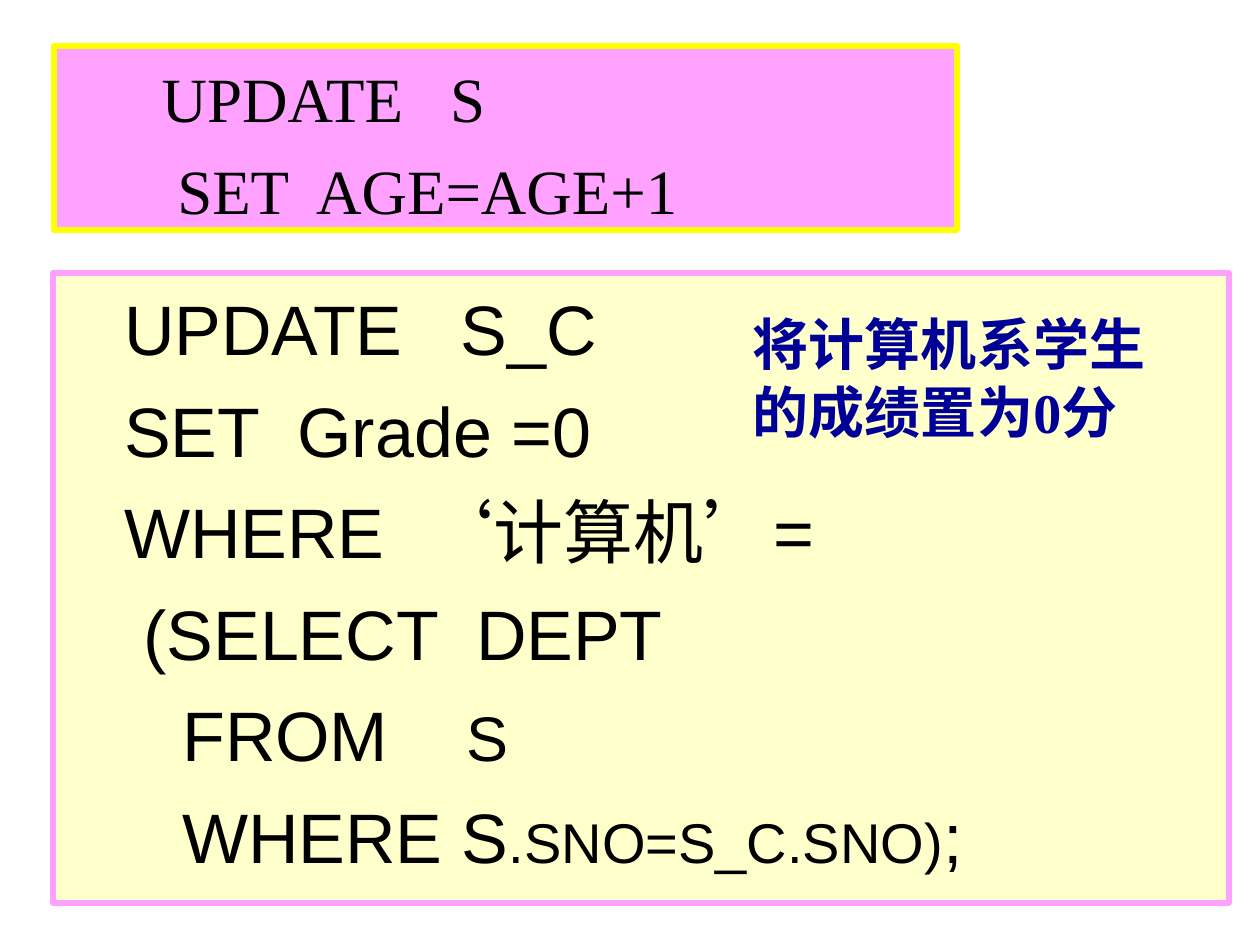
"""Builds a slide with two SQL UPDATE examples and a short caption."""
import pptx
import pptx.dml.color
import pptx.enum.shapes
import pptx.enum.text
import pptx.util

COLORS = {
    "ink": "000000",
    "navy": "000099",
    "pink": "FFA1FF",
    "yellow": "FFFF00",
    "cream": "FFFFCC",
}


class Slide:
    SCALE = 914400 / 126
    INSET = 13

    def __init__(self, deck):
        self.page = deck.slides.add_slide(deck.slide_layouts[6])

    @classmethod
    def px(cls, length):
        return pptx.util.Emu(round(length * cls.SCALE))

    @staticmethod
    def color(name):
        return pptx.dml.color.RGBColor.from_string(COLORS[name])

    def panel(self, place, fill, line):
        box = self.page.shapes.add_shape(
            pptx.enum.shapes.MSO_SHAPE.RECTANGLE, *map(self.px, place))
        box.shadow.inherit = False
        box.fill.solid()
        box.fill.fore_color.rgb = self.color(fill)
        box.line.color.rgb = self.color(line)
        box.line.width = pptx.util.Pt(3)
        return box

    def caption(self, place):
        return self.page.shapes.add_textbox(*map(self.px, place))

    def add_lines(self, box, lines, font, size, color="ink", bold=False, gap=0, top=INSET):
        frame = box.text_frame
        layout = {
            "word_wrap": True,
            "vertical_anchor": pptx.enum.text.MSO_ANCHOR.TOP,
            "margin_left": self.px(self.INSET),
            "margin_right": self.px(self.INSET),
            "margin_top": self.px(top),
            "margin_bottom": self.px(6),
        }
        for name, value in layout.items():
            setattr(frame, name, value)
        for index, line in enumerate(lines):
            para = frame.add_paragraph() if index else frame.paragraphs[0]
            para.alignment = pptx.enum.text.PP_ALIGN.LEFT
            if index:
                para.space_before = pptx.util.Pt(gap)
            for text, points in line:
                span = para.add_run()
                span.text = text
                style = {"name": font, "size": pptx.util.Pt(points or size), "bold": bold}
                for name, value in style.items():
                    setattr(span.font, name, value)
                span.font.color.rgb = self.color(color)


def main():
    deck = pptx.Presentation()
    deck.slide_width = pptx.util.Inches(10)
    deck.slide_height = pptx.util.Inches(7.5)
    slide = Slide(deck)

    grade_query = [
        [("   UPDATE   S_C", None)],
        [("   SET  Grade =0", None)],
        [("   WHERE  ‘计算机’=", None)],
        [("    (SELECT  DEPT", None)],
        [("      FROM    ", None), ("S", 36)],
        [("      WHERE S", None), (".SNO=S_C.SNO)", 32), (";", None)],
    ]
    age_query = [
        [("      UPDATE   S", None)],
        [("       SET  AGE=AGE+1", None)],
    ]
    caption = [[("将计算机系学生的成绩置为0分", None)]]

    slide.add_lines(slide.panel((53, 273, 1176, 630), "cream", "pink"),
                    grade_query, "Arial", 40, gap=10)
    slide.add_lines(slide.panel((54, 46, 903, 184), "pink", "yellow"),
                    age_query, "Times New Roman", 36, gap=9, top=14)
    slide.add_lines(slide.caption((740, 304, 456, 147)),
                    caption, "Times New Roman", 32, color="navy", bold=True, top=6)

    deck.save("out.pptx")


if __name__ == "__main__":
    main()
